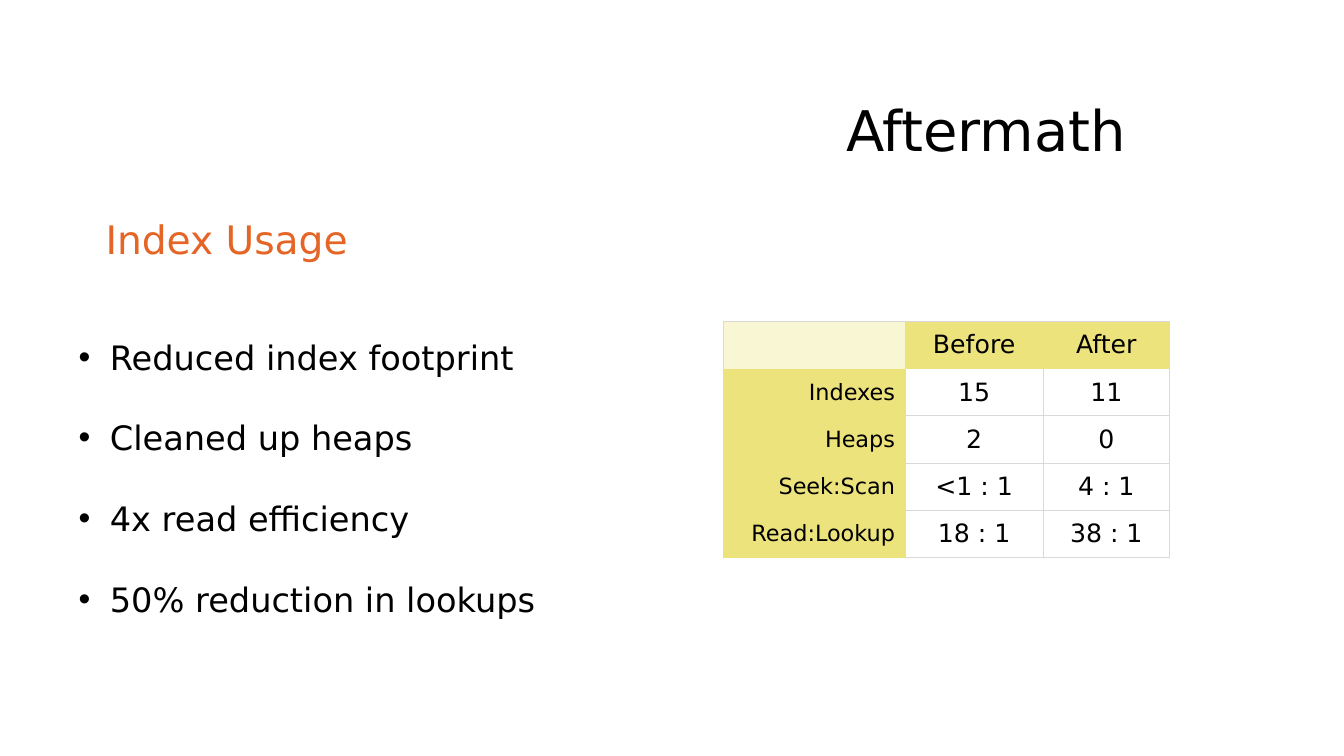
from lxml import etree
from pptx import Presentation
from pptx.dml.color import RGBColor
from pptx.enum.text import MSO_ANCHOR as Anchor, PP_ALIGN as Align
from pptx.oxml.ns import qn
from pptx.util import Cm, Pt

COLORS = {
    "ink": "000000",
    "accent": "E56526",
    "header": "EDE37D",
    "corner": "F9F6D4",
    "cell": "FFFFFF",
    "border": "D9D9D9",
}
FONT = "DejaVu Sans"

BENEFITS = [
    "Reduced index footprint",
    "Cleaned up heaps",
    "4x read efficiency",
    "50% reduction in lookups",
]
INDEX_STATS = [
    ["", "Before", "After"],
    ["Indexes", "15", "11"],
    ["Heaps", "2", "0"],
    ["Seek:Scan", "<1 : 1", "4 : 1"],
    ["Read:Lookup", "18 : 1", "38 : 1"],
]
COLUMN_WIDTHS = [4.57, 3.48, 3.18]


def set_all(target, formats):
    for name, value in formats.items():
        setattr(target, name, value)


def write(paragraph, text, size, color="ink", **formats):
    paragraph.add_run().text = text
    set_all(paragraph, formats)
    font = paragraph.runs[0].font
    set_all(font, {"name": FONT, "size": Pt(size)})
    font.color.rgb = RGBColor.from_string(COLORS[color])


def add_frame(slide, box, anchor):
    frame = slide.shapes.add_textbox(*map(Cm, box)).text_frame
    set_all(frame, {"word_wrap": True, "vertical_anchor": anchor})
    return frame


def add_bullet(paragraph, indent):
    properties = paragraph._p.get_or_add_pPr()
    properties.set("marL", str(Cm(indent)))
    properties.set("indent", str(-Cm(indent)))
    etree.SubElement(properties, qn("a:buFont"), typeface="Arial")
    etree.SubElement(properties, qn("a:buChar"), char="•")


def add_borders(cell, visible_sides):
    properties = cell._tc.get_or_add_tcPr()
    for position, side in enumerate("LRTB"):
        line = etree.Element(qn(f"a:ln{side}"), w=str(Pt(1)))
        if side in visible_sides:
            fill = etree.SubElement(line, qn("a:solidFill"))
            etree.SubElement(fill, qn("a:srgbClr"), val=COLORS["border"])
        else:
            etree.SubElement(line, qn("a:noFill"))
        properties.insert(position, line)


# Title and section heading
def add_title(slide, box):
    frame = add_frame(slide, box, Anchor.MIDDLE)
    write(frame.paragraphs[0], "Aftermath", 40,
          alignment=Align.RIGHT, line_spacing=0.9)


def add_heading(slide, box):
    frame = add_frame(slide, box, Anchor.BOTTOM)
    write(frame.paragraphs[0], "Index Usage", 28, "accent", line_spacing=0.9)


# Bulleted benefits
def add_benefits(slide, box):
    frame = add_frame(slide, box, Anchor.TOP)
    for number, benefit in enumerate(BENEFITS):
        paragraph = frame.add_paragraph() if number else frame.paragraphs[0]
        add_bullet(paragraph, 0.79)
        write(paragraph, benefit, 24, line_spacing=2.0)


# Before and after table
def cell_style(row, column):
    """Return fill, text size, alignment and bordered sides of a cell."""
    if row == 0 and column == 0:
        return "corner", 16, Align.RIGHT, "LTR"
    if row == 0:
        return "header", 18, Align.CENTER, "LT" if column == 1 else "TR"
    if column == 0:
        return "header", 16, Align.RIGHT, "LR"
    return "cell", 18, Align.CENTER, "LRB" if row == 1 else "LRTB"


def add_stats(slide, box):
    table = slide.shapes.add_table(
        len(INDEX_STATS), len(COLUMN_WIDTHS), *map(Cm, box)).table
    set_all(table, {"first_row": False, "horz_banding": False})
    for column, width in zip(table.columns, COLUMN_WIDTHS):
        column.width = Cm(width)
    for r, values in enumerate(INDEX_STATS):
        for c, value in enumerate(values):
            cell = table.cell(r, c)
            fill, size, alignment, sides = cell_style(r, c)
            cell.fill.solid()
            cell.fill.fore_color.rgb = RGBColor.from_string(COLORS[fill])
            cell.vertical_anchor = Anchor.MIDDLE
            add_borders(cell, sides)
            if value:
                write(cell.text_frame.paragraphs[0], value, size,
                      alignment=alignment)


def main():
    deck = Presentation()
    set_all(deck, {"slide_width": Cm(33.87), "slide_height": Cm(19.05)})
    slide = deck.slides.add_slide(deck.slide_layouts[6])
    add_heading(slide, (2.41, 4.47, 14.12, 2.29))
    add_stats(slide, (18.24, 8.1, sum(COLUMN_WIDTHS), 5.95))
    add_benefits(slide, (1.73, 7.34, 15.52, 8.13))
    add_title(slide, (18.21, 1.55, 10.41, 3.61))
    deck.save("out.pptx")


if __name__ == "__main__":
    main()
